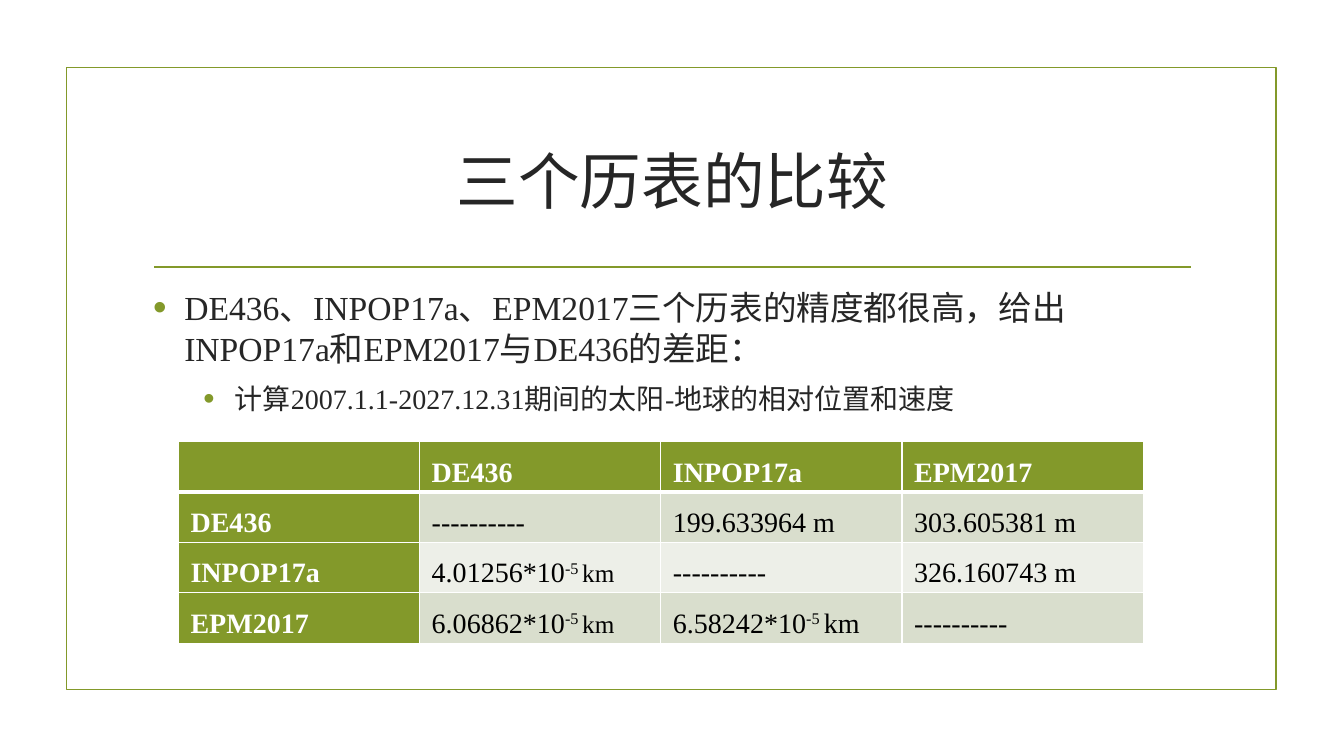
"""Build a slide that compares three ephemerides in a table."""
from dataclasses import dataclass

import lxml.etree
import pptx
import pptx.dml.color
import pptx.enum.shapes
import pptx.enum.text
import pptx.oxml.ns
import pptx.util

Inches = pptx.util.Inches
Pt = pptx.util.Pt
qn = pptx.oxml.ns.qn
FONT = "Times New Roman"
HUES = {"green": "83992A", "ink": "262626", "black": "000000",
        "white": "FFFFFF", "band": "D9DECD", "pale": "EDEFE8"}


@dataclass(frozen=True)
class Span:
    text: str
    size: float = 20
    raised: bool = False


@dataclass(frozen=True)
class Bullet:
    text: str
    size: float
    level: int
    indent: float


BULLETS = [
    Bullet("DE436、INPOP17a、EPM2017三个历表的精度都很高，给出INPOP17a和EPM2017与DE436的差距：",
           24, 0, 0.31),
    Bullet("计算2007.1.1-2027.12.31期间的太阳-地球的相对位置和速度", 20, 1, 0.81),
]
NAMES = ["DE436", "INPOP17a", "EPM2017"]
DASH = [Span("-" * 10)]


def power(base: str, size: float) -> list[Span]:
    return [Span(base + "*10"), Span("-5", raised=True),
            Span(" ", size, True), Span("km", size)]


VALUES = [
    [DASH, [Span("199.633964 m")], [Span("303.605381 m")]],
    [power("4.01256", 18), DASH, [Span("326.160743 m")]],
    [power("6.06862", 18), power("6.58242", 20), DASH],
]


def color(name: str) -> pptx.dml.color.RGBColor:
    return pptx.dml.color.RGBColor.from_string(HUES[name])


def node(parent, tag: str, **attrs: str):
    return lxml.etree.SubElement(parent, qn(tag), attrs)


def write(para, text: str, *, size: float, hue: str = "ink",
          bold: bool = False, raised: bool = False) -> None:
    run = para.add_run()
    run.text = text
    run.font.name = FONT
    run.font.size = Pt(size)
    run.font.bold = bold
    run.font.color.rgb = color(hue)
    if raised:
        run.font._element.set("baseline", "30000")


def add_text(slide, left: float, top: float, width: float, height: float):
    box = slide.shapes.add_textbox(*map(Inches, (left, top, width, height)))
    box.text_frame.word_wrap = True
    return box.text_frame


def add_frame(slide) -> None:
    frame = slide.shapes.add_shape(
        pptx.enum.shapes.MSO_SHAPE.RECTANGLE,
        *map(Inches, (0.66, 0.67, 12, 6.17)))
    frame.shadow.inherit = False
    frame.fill.background()
    rule = slide.shapes.add_connector(
        pptx.enum.shapes.MSO_CONNECTOR.STRAIGHT,
        *map(Inches, (1.53, 2.65, 11.81, 2.65)))
    node(rule._element.spPr, "a:effectLst")
    for shape in (frame, rule):
        shape.line.color.rgb = color("green")
        shape.line.width = Pt(1.25)


def add_title(slide) -> None:
    frame = add_text(slide, 1.42, 1.07, 10.5, 1.43)
    frame.vertical_anchor = pptx.enum.text.MSO_ANCHOR.MIDDLE
    para = frame.paragraphs[0]
    para.alignment = pptx.enum.text.PP_ALIGN.CENTER
    write(para, "三个历表的比较", size=44)


def add_body(slide) -> None:
    frame = add_text(slide, 1.42, 2.8, 10.5, 3.63)
    for i, item in enumerate(BULLETS):
        para = frame.add_paragraph() if i else frame.paragraphs[0]
        para.level = item.level
        para.space_before = Pt(item.size * 0.2)
        para.space_after = Pt(6)
        props = para._p.get_or_add_pPr()
        props.set("marL", str(Inches(item.indent)))
        props.set("indent", str(Inches(-0.31)))
        node(node(props, "a:buClr"), "a:srgbClr", val=HUES["green"])
        node(props, "a:buSzPct", val="115000")
        node(props, "a:buFont", typeface="Arial")
        node(props, "a:buChar", char="•")
        write(para, item.text, size=item.size)


def style(cell, hue: str, top: float, bottom: float) -> None:
    props = cell._tc.get_or_add_tcPr()
    for side, width in (("L", 1), ("R", 1), ("T", top), ("B", bottom)):
        edge = node(props, f"a:ln{side}", w=str(Pt(width)))
        node(node(edge, "a:solidFill"), "a:srgbClr", val=HUES["white"])
    cell.fill.solid()
    cell.fill.fore_color.rgb = color(hue)
    cell.margin_left = cell.margin_right = Inches(0.12)
    cell.margin_top = cell.margin_bottom = 0


def add_table(slide) -> None:
    heads = [[Span(name)] for name in NAMES]
    rows = [[[], *heads]] + [[head, *row] for head, row in zip(heads, VALUES)]
    table = slide.shapes.add_table(
        4, 4, *map(Inches, (1.77, 4.38, 9.57, 1.81))).table
    for r, row in enumerate(rows):
        table.rows[r].height = Inches(0.45)
        for c, spans in enumerate(row):
            cell = table.cell(r, c)
            head = r == 0 or c == 0
            hue = "green" if head else "band" if r % 2 else "pale"
            style(cell, hue, 3 if r == 1 else 1, 3 if r == 0 else 1)
            para = cell.text_frame.paragraphs[0]
            para.line_spacing = 1.5
            for span in spans:
                write(para, span.text, size=span.size, raised=span.raised,
                      hue="white" if head else "black", bold=head)


def main() -> None:
    deck = pptx.Presentation()
    deck.slide_width = Inches(13.33)
    deck.slide_height = Inches(7.5)
    slide = deck.slides.add_slide(deck.slide_layouts[6])
    add_frame(slide)
    add_title(slide)
    add_body(slide)
    add_table(slide)
    deck.save("out.pptx")


if __name__ == "__main__":
    main()
